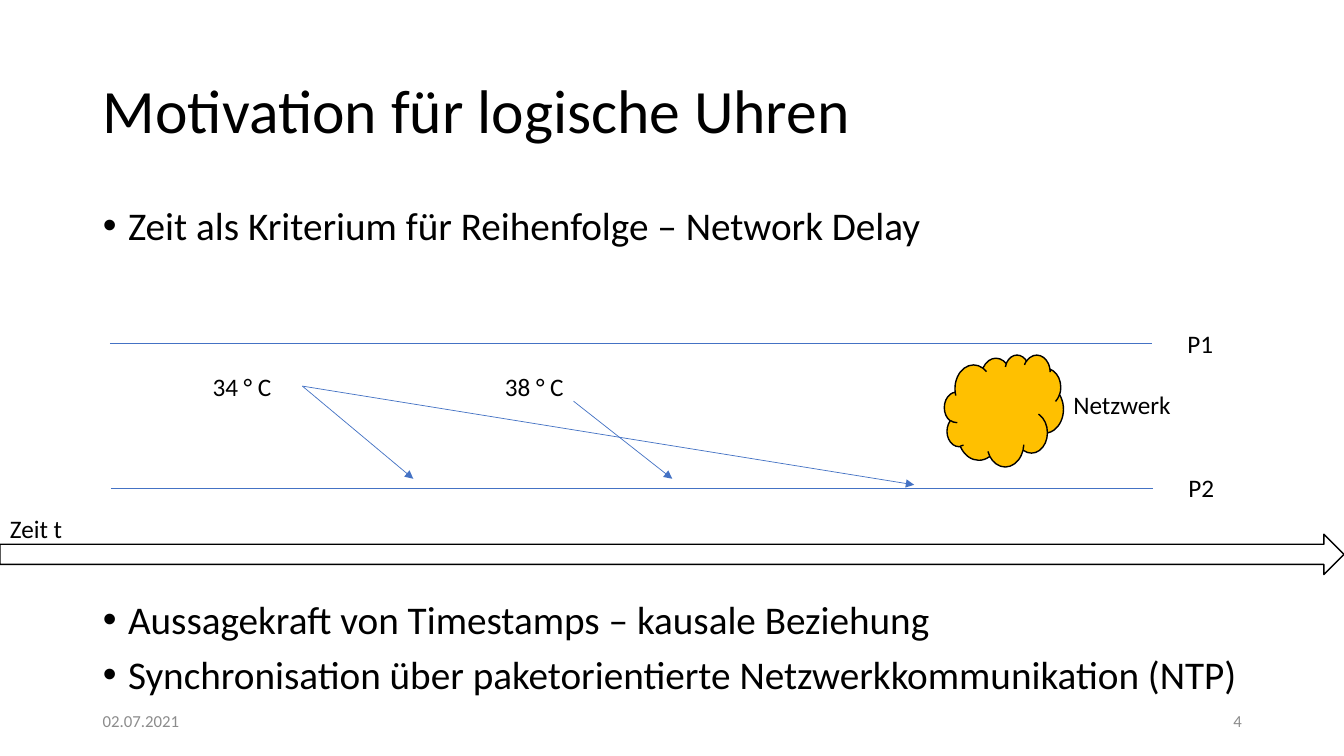
"""Build the slide on why logical clocks are needed."""
from pptx import Presentation
from pptx.dml.color import RGBColor
from pptx.enum.shapes import MSO_CONNECTOR, MSO_SHAPE
from pptx.enum.text import MSO_ANCHOR, MSO_AUTO_SIZE, PP_ALIGN
from pptx.oxml.ns import qn
from pptx.util import Pt
from lxml.etree import SubElement

BLACK = RGBColor(0x00, 0x00, 0x00)
WHITE = RGBColor(0xFF, 0xFF, 0xFF)
BLUE = RGBColor(0x44, 0x72, 0xC4)
GOLD = RGBColor(0xFF, 0xC0, 0x00)
GRAY = RGBColor(0x8C, 0x8C, 0x8C)
FONT = "Calibri"

TITLE = "Motivation für logische Uhren"
BULLETS = [
    ("Zeit als Kriterium für Reihenfolge – Network Delay", 0),
    ("Aussagekraft von Timestamps – kausale Beziehung", 251),
    ("Synchronisation über paketorientierte Netzwerkkommunikation (NTP)", 9),
]
PROCESSES = [("P1", 78.5, 245.5), ("P2", 79.2, 348.7)]
READINGS = [("34 ° C", 144.7), ("38 ° C", 353.5)]
MESSAGES = [
    ((216, 275.8), (295.2, 342), 0),
    ((409.7, 286.6), (480.2, 342), None),
    ((216, 275.8), (653, 346.3), 0),
]
LABELS = [("Netzwerk", 759.6, 274.3, 96.5), ("Zeit t", 0, 362.9, 85.7)]
FOOTERS = [("02.07.2021", 66.24, PP_ALIGN.LEFT), ("4", 678.24, PP_ALIGN.RIGHT)]

MARGIN, CONTENT_WIDTH = 66.24, 828
TIMELINE_LENGTH, LABEL_HEIGHT = 744.5, 28.8


def format_text(paragraph, size, color=BLACK, align=PP_ALIGN.LEFT):
    paragraph.alignment = align
    paragraph.font.name = FONT
    paragraph.font.size = Pt(size)
    paragraph.font.color.rgb = color


def place(shape, left, top, width, height):
    shape.left, shape.top = Pt(left), Pt(top)
    shape.width, shape.height = Pt(width), Pt(height)


def add_label(slide, text, left, top, width, size=18, color=BLACK, align=PP_ALIGN.LEFT):
    box = slide.shapes.add_textbox(Pt(left), Pt(top), Pt(width), Pt(LABEL_HEIGHT))
    frame = box.text_frame
    frame.word_wrap = True
    frame.vertical_anchor = MSO_ANCHOR.MIDDLE
    frame.text = text
    format_text(frame.paragraphs[0], size, color, align)
    return box


def add_line(slide, start, end, arrow=False):
    points = [Pt(value) for value in (*start, *end)]
    connector = slide.shapes.add_connector(MSO_CONNECTOR.STRAIGHT, *points)
    connector.line.color.rgb = BLUE
    connector.line.width = Pt(0.5)
    if arrow:
        SubElement(connector.line._get_or_add_ln(), qn("a:tailEnd"), type="triangle")
    SubElement(connector._element.spPr, qn("a:effectLst"))
    return connector


def add_outlined(slide, preset, bounds, fill):
    shape = slide.shapes.add_shape(preset, *[Pt(value) for value in bounds])
    shape.shadow.inherit = False
    shape.fill.solid()
    shape.fill.fore_color.rgb = fill
    shape.line.color.rgb = BLACK
    shape.line.width = Pt(1)


def fill_placeholders(slide):
    title = slide.shapes.title
    place(title, MARGIN, 28.8, CONTENT_WIDTH, 104.4)
    title.text_frame.text = TITLE
    title.text_frame.vertical_anchor = MSO_ANCHOR.MIDDLE
    heading = title.text_frame.paragraphs[0]
    heading.line_spacing = 0.9
    format_text(heading, 44)

    body = slide.placeholders[1]
    place(body, MARGIN, 144, CONTENT_WIDTH, 342.72)
    frame = body.text_frame
    frame.auto_size = MSO_AUTO_SIZE.NONE
    frame.text = "\n".join(text for text, _ in BULLETS)
    for paragraph, (_, gap) in zip(frame.paragraphs, BULLETS):
        properties = paragraph._p.get_or_add_pPr()
        properties.set("marL", str(Pt(18)))
        properties.set("indent", str(-Pt(18)))
        paragraph.line_spacing = 0.9
        paragraph.space_before = Pt(gap)
        format_text(paragraph, 28)


def draw_timeline(slide):
    for name, left, y in PROCESSES:
        add_line(slide, (left, y), (left + TIMELINE_LENGTH, y))
        add_label(slide, name, left + 762.5, y - 14.6, 39.6)
    readings = [add_label(slide, text, left, 261.4, 71.3) for text, left in READINGS]
    for start, end, sender in MESSAGES:
        connector = add_line(slide, start, end, arrow=True)
        if sender is not None:
            connector.begin_connect(readings[sender], 3)
    add_outlined(slide, MSO_SHAPE.CLOUD, (674.6, 253.4, 85, 79.9), GOLD)
    add_outlined(slide, MSO_SHAPE.RIGHT_ARROW, (0, 381.6, 960, 28.8), WHITE)
    for label in LABELS:
        add_label(slide, *label)


def main():
    presentation = Presentation()
    presentation.slide_width, presentation.slide_height = Pt(960), Pt(540)
    slide = presentation.slides.add_slide(presentation.slide_layouts[1])
    fill_placeholders(slide)
    draw_timeline(slide)
    for text, left, align in FOOTERS:
        add_label(slide, text, left, 500.4, 216, 12, GRAY, align)
    presentation.save("out.pptx")


if __name__ == "__main__":
    main()
